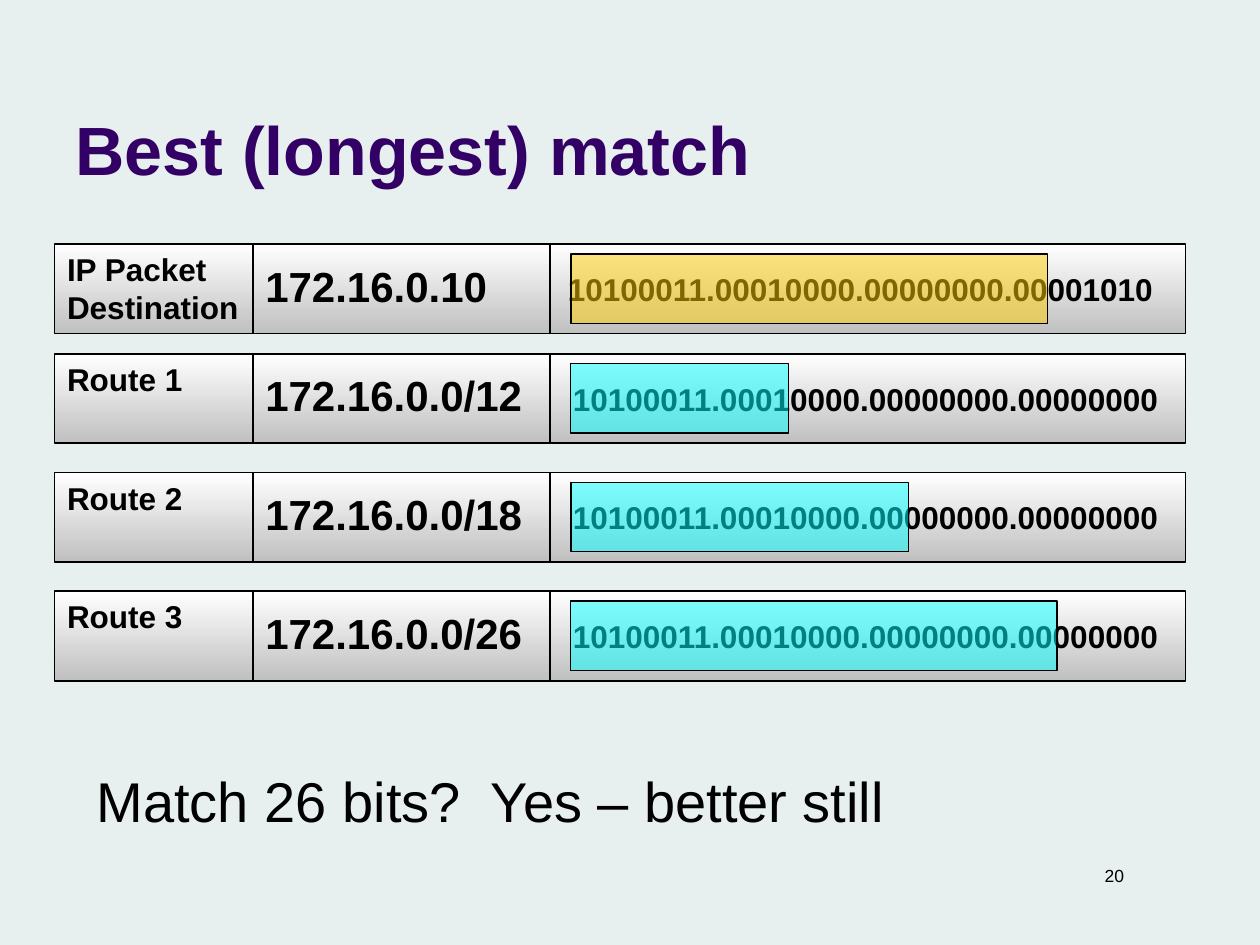
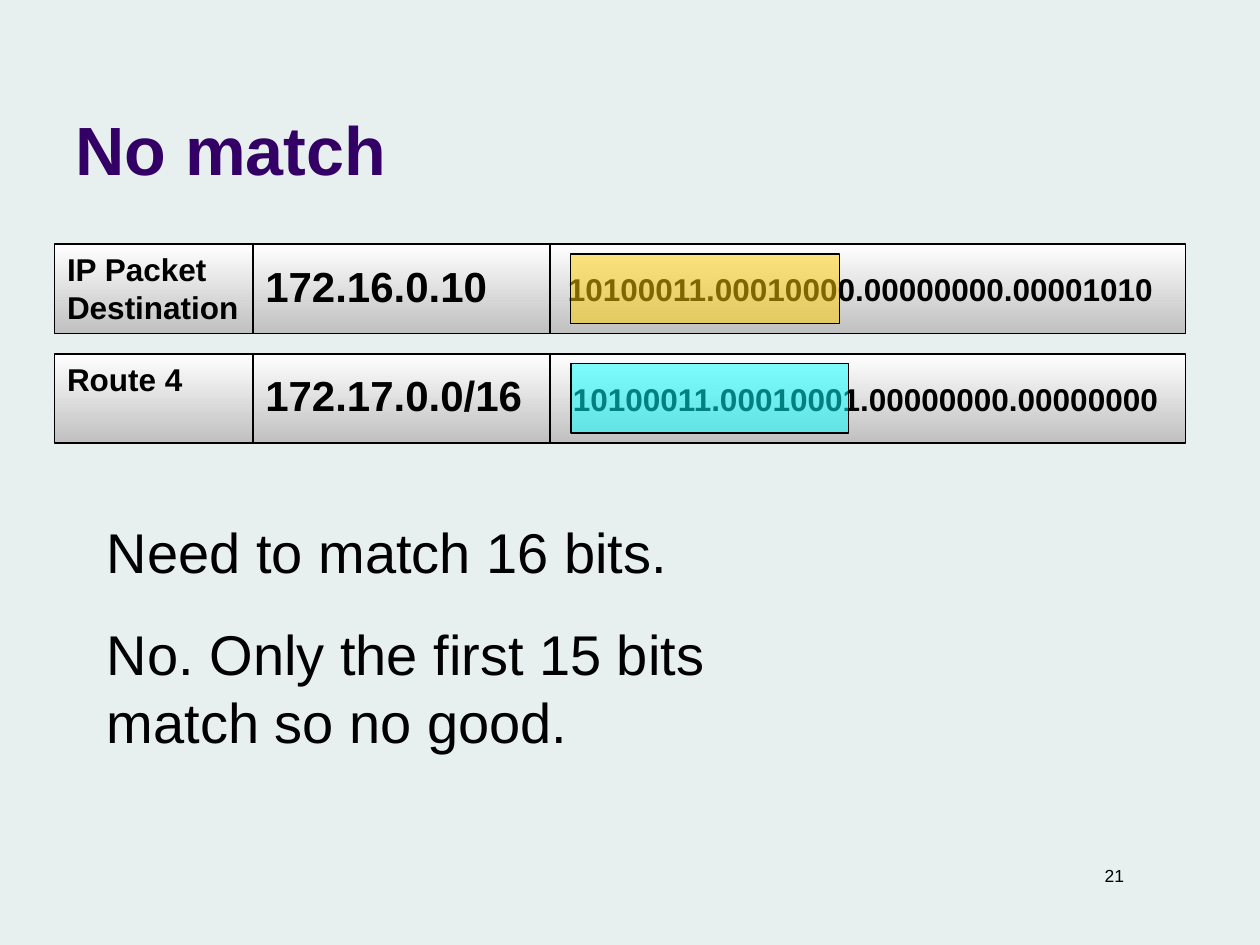
from dataclasses import dataclass

from lxml.etree import SubElement
from pptx import Presentation
from pptx.dml.color import RGBColor
from pptx.enum.shapes import MSO_SHAPE
from pptx.enum.text import MSO_ANCHOR, PP_ALIGN
from pptx.oxml.ns import qn
from pptx.util import Pt

FONT = "Arial"
COLORS = {
    "background": "E7EFEF",
    "title": "330066",
    "ink": "000000",
    "cell_top": "FFFFFF",
    "cell_bottom": "C0C0C0",
    "packet": "FFCC00",
    "route": "00FFFF",
}

ROW_LEFT, ROW_HEIGHT = 31.2, 51.1
LABEL_WIDTH, ADDRESS_WIDTH, BITS_WIDTH = 113.3, 170, 363
PACKET_TOP, ROUTE_TOP, ROUTE_PITCH = 139.5, 202.1, 67.9
MASK_OFFSET, MASK_INSET, MASK_HEIGHT = 295, 5.6, 39.7


@dataclass
class Row:
    label: str
    address: str
    bits: str
    matched_width: float


@dataclass
class RowStyle:
    mask: str
    address_width: float
    bits_offset: float
    bits_width: float


PACKET_STYLE = RowStyle("packet", 147.6, 2.9, 360)
ROUTE_STYLE = RowStyle("route", ADDRESS_WIDTH, 5.8, 371.5)


def color(name):
    return RGBColor.from_string(COLORS[name])


def add_text(shapes, box, paragraphs, size, bold=False, ink="ink",
             align=PP_ALIGN.LEFT, anchor=MSO_ANCHOR.TOP, space_before=0):
    frame = shapes.add_textbox(*map(Pt, box)).text_frame
    frame.word_wrap = True
    frame.vertical_anchor = anchor
    for index, text in enumerate(paragraphs):
        paragraph = frame.add_paragraph() if index else frame.paragraphs[0]
        paragraph.alignment = align
        paragraph.space_before = Pt(space_before)
        for line_index, line in enumerate(text.split("\n")):
            if line_index:
                paragraph.add_line_break()
            run = paragraph.add_run()
            run.text = line
            run.font.name = FONT
            run.font.size = Pt(size)
            run.font.bold = bold
            run.font.color.rgb = color(ink)


def add_rectangle(shapes, box, line_width):
    rectangle = shapes.add_shape(MSO_SHAPE.RECTANGLE, *map(Pt, box))
    rectangle.shadow.inherit = False
    rectangle.line.color.rgb = color("ink")
    rectangle.line.width = Pt(line_width)
    return rectangle


def add_cell(shapes, box):
    fill = add_rectangle(shapes, box, 1).fill
    fill.gradient()
    fill.gradient_angle = 270
    for stop, name in zip(fill.gradient_stops, ("cell_top", "cell_bottom")):
        stop.color.rgb = color(name)


def add_mask(shapes, box, name):
    mask = add_rectangle(shapes, box, 0.75)
    mask.fill.solid()
    mask.fill.fore_color.rgb = color(name)
    tint = mask.fill._xPr.find(qn("a:solidFill"))[0]
    SubElement(tint, qn("a:alpha"), val="50000")


def add_row(slide, left, top, row, style):
    address_left = left + LABEL_WIDTH
    bits_left = address_left + ADDRESS_WIDTH
    cells = slide.shapes.add_group_shape().shapes

    add_cell(cells, (left, top, LABEL_WIDTH, ROW_HEIGHT))
    add_text(cells, (left, top, 130.3, 28.8), [row.label], 18, bold=True)

    add_cell(cells, (address_left, top, ADDRESS_WIDTH, ROW_HEIGHT))
    add_text(cells, (address_left, top + 5.6, style.address_width, 36),
             [row.address], 24, bold=True)

    add_cell(cells, (bits_left, top, BITS_WIDTH, ROW_HEIGHT))
    add_text(cells, (bits_left + style.bits_offset, top + 11.3, style.bits_width, 28.8),
             [row.bits], 18, bold=True)

    add_mask(slide.shapes, (left + MASK_OFFSET, top + MASK_INSET,
                            row.matched_width, MASK_HEIGHT), style.mask)


def add_match_slide(deck, title, number, packet_match, routes, message_box, messages):
    slide = deck.slides.add_slide(deck.slide_layouts[6])
    slide.background.fill.solid()
    slide.background.fill.fore_color.rgb = color("background")
    add_text(slide.shapes, (501.8, 491, 147.6, 19.4), [number], 10, align=PP_ALIGN.RIGHT)
    add_text(slide.shapes, (36, 9.4, 594, 102.2), [title], 39, bold=True,
             ink="title", anchor=MSO_ANCHOR.BOTTOM)

    packet = Row("IP Packet\nDestination", "172.16.0.10",
                 "10100011.00010000.00000000.00001010", packet_match)
    add_row(slide, ROW_LEFT, PACKET_TOP, packet, PACKET_STYLE)
    for index, route in enumerate(routes):
        add_row(slide, ROW_LEFT, ROUTE_TOP + index * ROUTE_PITCH, route, ROUTE_STYLE)

    add_text(slide.shapes, message_box, messages, 32, space_before=20)


def main():
    deck = Presentation()
    deck.slide_width, deck.slide_height = Pt(720), Pt(540)

    network = "10100011.00010000.00000000.00000000"
    add_match_slide(
        deck, "Best (longest) match", "20", 272.2,
        [Row("Route 1", "172.16.0.0/12", network, 124.6),
         Row("Route 2", "172.16.0.0/18", network, 193),
         Row("Route 3", "172.16.0.0/26", network, 277.9)],
        (48.2, 434.2, 516.2, 46), ["Match 26 bits?  Yes – better still"])

    add_match_slide(
        deck, "No match", "21", 153.4,
        [Row("Route 4", "172.17.0.0/16", "10100011.00010001.00000000.00000000", 158.7)],
        (54, 292.3, 396.7, 142.6),
        ["Need to match 16 bits.", "No. Only the first 15 bits match so no good."])

    deck.save("out.pptx")


if __name__ == "__main__":
    main()
